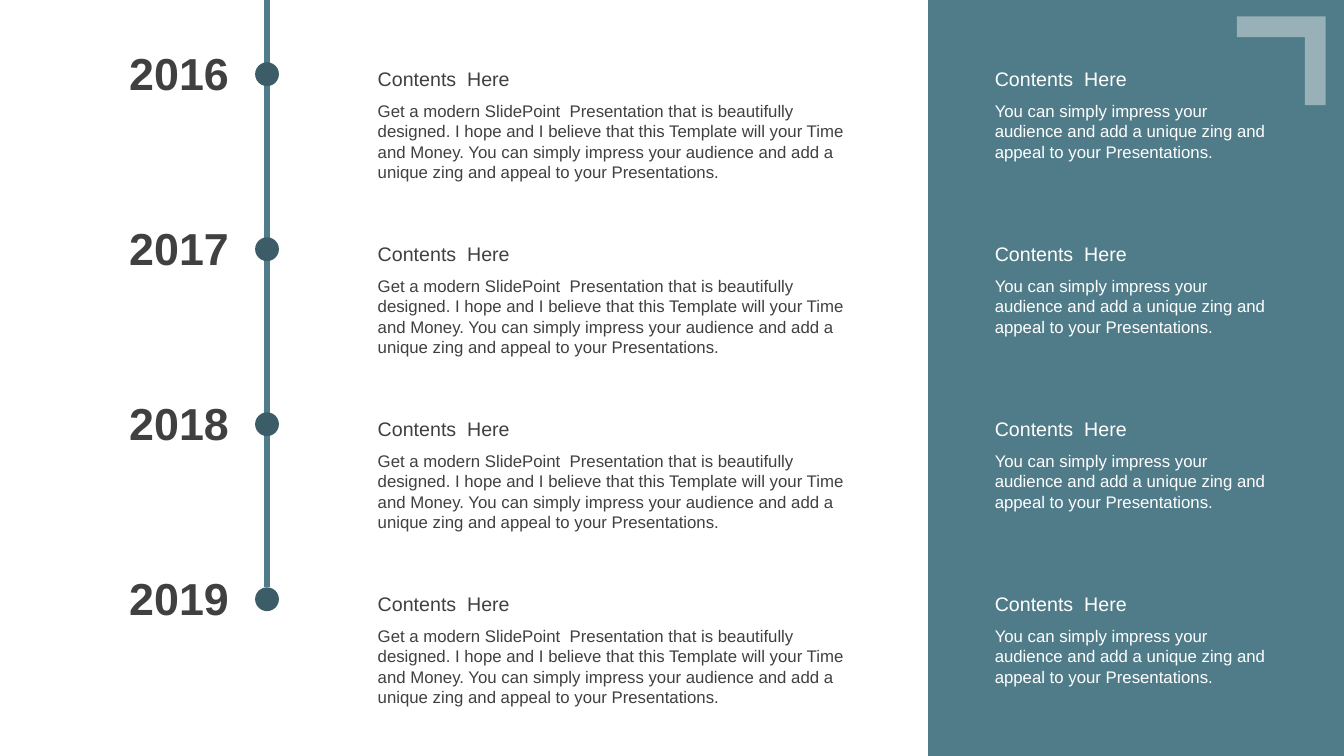
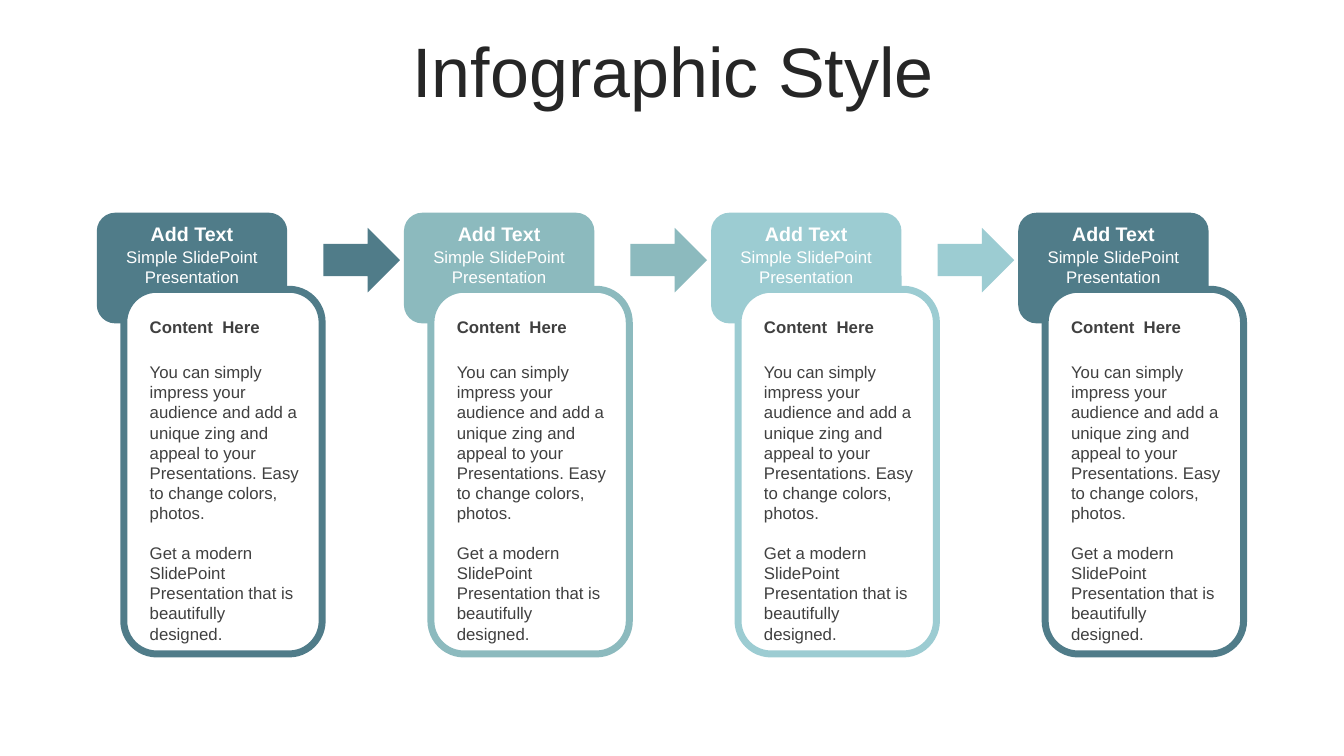
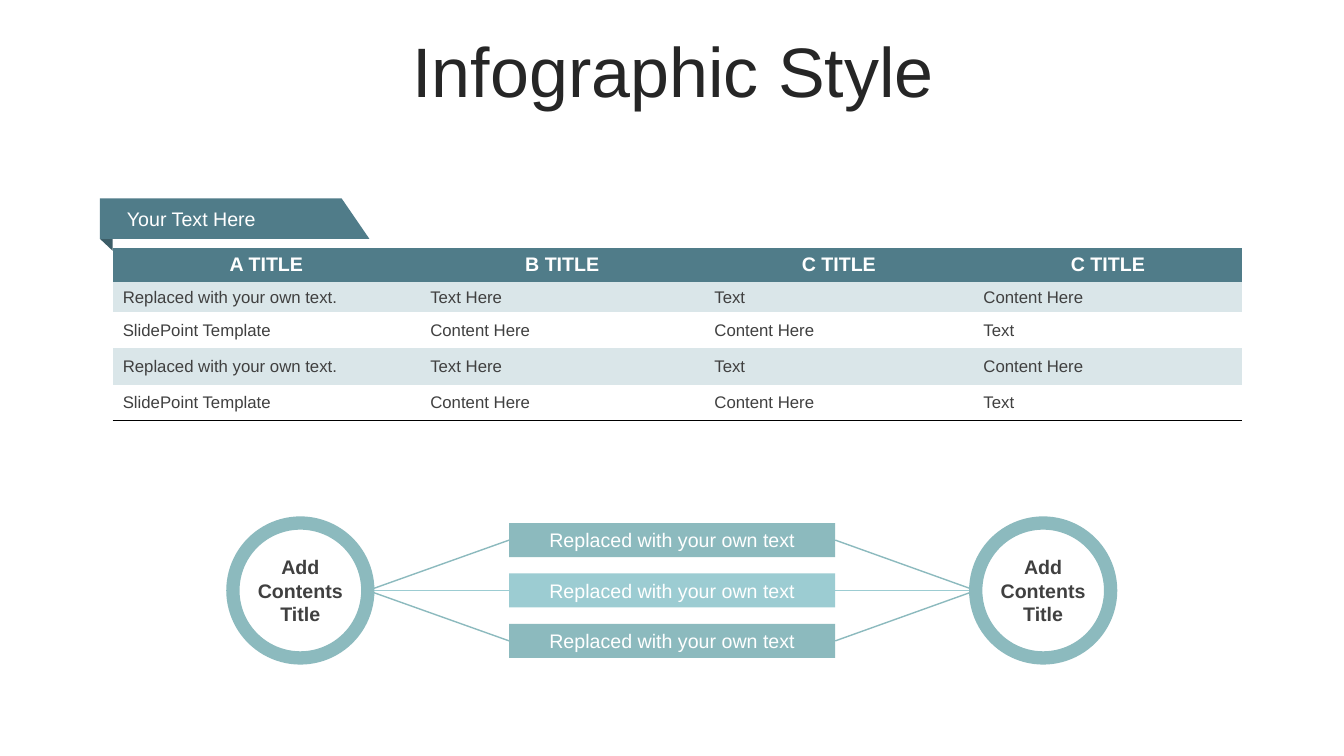
from lxml import etree
from pptx import Presentation
from pptx.dml.color import RGBColor
from pptx.enum.shapes import MSO_CONNECTOR, MSO_SHAPE
from pptx.enum.text import MSO_ANCHOR, MSO_AUTO_SIZE, PP_ALIGN
from pptx.oxml import parse_xml
from pptx.oxml.ns import nsdecls, qn
from pptx.util import Cm, Pt

LEFT, CENTER, RIGHT = PP_ALIGN.LEFT, PP_ALIGN.CENTER, PP_ALIGN.RIGHT
TOP, MIDDLE = MSO_ANCHOR.TOP, MSO_ANCHOR.MIDDLE
RECT, OVAL = MSO_SHAPE.RECTANGLE, MSO_SHAPE.OVAL
ROUNDED, ARROW, CORNER = MSO_SHAPE.ROUNDED_RECTANGLE, MSO_SHAPE.RIGHT_ARROW, MSO_SHAPE.CORNER
STRAIGHT = MSO_CONNECTOR.STRAIGHT

FONT = "Arial"
TEAL, SAGE, AQUA = "507C89", "8CBABE", "9CCCD2"
DARK_TEAL, PALE = "3C5D67", "DAE6E9"
WHITE, BLACK, INK, TITLE_INK = "FFFFFF", "000000", "404040", "262626"
NO_STYLE_NO_GRID = "{2D5ABB26-0587-4C30-8999-92F81FD0307C}"

rgb = RGBColor.from_string


def paint(sp, fill=None, line=None, width=1):
    """Colour a shape, or a connector when no fill is given, and remove its shadow."""
    if line:
        sp.line.color.rgb = rgb(line)
        sp.line.width = Pt(width)
    else:
        sp.line.fill.background()
    if fill:
        sp.fill.solid()
        sp.fill.fore_color.rgb = rgb(fill)
        sp.shadow.inherit = False
    else:
        etree.SubElement(sp.element.spPr, qn("a:effectLst"))


def write(tf, text, size=12, color=INK, bold=False, align=LEFT, before=0, spacing=None):
    """Put text in the empty first paragraph, or in a new one after it."""
    p = tf.paragraphs[0] if not tf.text else tf.add_paragraph()
    p.alignment = align
    if before:
        p.space_before = Pt(before)
    if spacing:
        p.line_spacing = spacing
    r = p.add_run()
    r.text = text
    r.font.name, r.font.size, r.font.bold = FONT, Pt(size), bold
    r.font.color.rgb = rgb(color)


prs = Presentation()
prs.slide_width, prs.slide_height = Cm(33.87), Cm(19.05)
blank, title_only = prs.slide_layouts[6], prs.slide_layouts[5]

# Shared title position
layout_title = title_only.placeholders[0]
layout_title.left, layout_title.top = Cm(0.89), Cm(0.95)
layout_title.width, layout_title.height = Cm(32.16), Cm(2)

timeline = prs.slides.add_slide(blank)
process = prs.slides.add_slide(title_only)
overview = prs.slides.add_slide(title_only)

for s in (process, overview):
    tf = s.shapes.title.text_frame
    tf.auto_size = MSO_AUTO_SIZE.NONE
    tf.vertical_anchor = MIDDLE
    write(tf, "Infographic Style", size=50, color=TITLE_INK, align=CENTER, spacing=0.8)

# Slide 1: timeline
shapes = timeline.shapes
side_panel = shapes.add_shape(RECT, Cm(23.39), 0, Cm(10.48), prs.slide_height)
paint(side_panel, TEAL)
axis = shapes.add_connector(STRAIGHT, Cm(6.73), 0, Cm(6.73), Cm(14.8))
paint(axis, line=TEAL, width=4.5)

bracket = shapes.add_shape(CORNER, Cm(31.17), Cm(0.41), Cm(2.24), Cm(2.24))
bracket.rotation = 180
bracket.adjustments[0] = bracket.adjustments[1] = 0.234
paint(bracket, WHITE)
bracket_color = bracket.element.spPr.find(".//" + qn("a:srgbClr"))
etree.SubElement(bracket_color, qn("a:alpha"), val="41000")

MAIN_TEXT = (
    "Get a modern SlidePoint  Presentation that is beautifully designed. I hope and I believe "
    "that this Template will your Time and Money. You can simply impress your audience and "
    "add a unique zing and appeal to your Presentations."
)
SIDE_TEXT = (
    "You can simply impress your audience and add a unique zing and appeal to your Presentations."
)
for i, year in enumerate(("2016", "2017", "2018", "2019")):
    y = 1.57 + 4.41 * i
    dot = shapes.add_shape(OVAL, Cm(6.43), Cm(y), Cm(0.6), Cm(0.6))
    paint(dot, DARK_TEAL)
    for x, dy, w, h, text, style in (
        (1.85, -0.55, 4.17, 1.63, year, {"size": 32, "bold": True, "align": RIGHT}),
        (9.27, 0, 12.67, 0.86, "Contents  Here", {"size": 14}),
        (9.27, 0.85, 12.67, 2.31, MAIN_TEXT, {}),
        (24.82, 0, 7.44, 0.86, "Contents  Here", {"size": 14, "color": WHITE}),
        (24.82, 0.85, 7.44, 1.8, SIDE_TEXT, {"color": WHITE}),
    ):
        tf = shapes.add_textbox(Cm(x), Cm(y + dy), Cm(w), Cm(h)).text_frame
        tf.word_wrap = True
        write(tf, text, **style)

# Slide 2: four steps joined by arrows
shapes = process.shapes
step_colors = (TEAL, SAGE, AQUA, TEAL)
for i, color in enumerate(step_colors):
    x = 2.44 + 7.74 * i
    if i < len(step_colors) - 1:
        arrow = shapes.add_shape(ARROW, Cm(x + 5.71), Cm(5.74), Cm(1.93), Cm(1.63))
        paint(arrow, color)

    header = shapes.add_shape(ROUNDED, Cm(x), Cm(5.36), Cm(4.8), Cm(2.79))
    paint(header, color)
    tf = header.text_frame
    tf.vertical_anchor = TOP
    tf.margin_left = tf.margin_right = Cm(0.2)
    tf.margin_top = Cm(0.1)
    write(tf, "Add Text", size=14, color=WHITE, bold=True, align=CENTER)
    write(tf, "Simple SlidePoint Presentation", color=WHITE, align=CENTER, before=1)

    card = shapes.add_shape(ROUNDED, Cm(x + 0.68), Cm(7.29), Cm(5), Cm(9.19))
    paint(card, WHITE, line=color, width=5)
    tf = card.text_frame
    tf.vertical_anchor = TOP
    tf.margin_left, tf.margin_right = Cm(0.41), Cm(0.27)
    tf.margin_top, tf.margin_bottom = Cm(0.44), 0
    write(tf, "Content  Here", bold=True)
    write(
        tf,
        "You can simply impress your audience and add a unique zing and appeal to your "
        "Presentations. Easy to change colors, photos.",
        before=18,
    )
    write(tf, "Get a modern SlidePoint  Presentation that is beautifully designed.", before=14)

# Slide 3: table
shapes = overview.shapes
text_row = ("Replaced with your own text.", "Text Here", "Text", "Content Here")
template_row = ("SlidePoint Template", "Content Here", "Content Here", "Text")
rows = (
    ("A TITLE", "B TITLE", "C TITLE", "C TITLE"),
    text_row, template_row, text_row, template_row,
)
col_widths = (7.75, 7.16, 6.78, 6.78)
row_heights = (0.86, 0.76, 0.91, 0.91, 0.91)
frame = shapes.add_table(
    len(rows), len(col_widths), Cm(2.84), Cm(6.25), Cm(sum(col_widths)), Cm(sum(row_heights))
)
frame.element.find(".//" + qn("a:tableStyleId")).text = NO_STYLE_NO_GRID
table = frame.table
table.horz_banding = False
for column, width in zip(table.columns, col_widths):
    column.width = Cm(width)
for i, texts in enumerate(rows):
    table.rows[i].height = Cm(row_heights[i])
    for j, text in enumerate(texts):
        cell = table.cell(i, j)
        cell.vertical_anchor = MIDDLE
        if i == 0:
            write(cell.text_frame, text, size=14, color=WHITE, bold=True, align=CENTER)
        else:
            write(cell.text_frame, text)
        if i in (2, 4):
            cell.fill.background()
        else:
            cell.fill.solid()
            cell.fill.fore_color.rgb = rgb(PALE if i else TEAL)
        if i == len(rows) - 1:
            border = parse_xml(
                f'<a:lnB {nsdecls("a")} w="{Pt(1)}"><a:solidFill>'
                f'<a:srgbClr val="{BLACK}"/></a:solidFill></a:lnB>'
            )
            cell._tc.get_or_add_tcPr().insert(0, border)

# Slide 3: folded ribbon above the table
for color, points in (
    (DARK_TEAL, ((2.52, 6.02), (2.84, 6.02), (2.84, 6.32))),
    (TEAL, ((2.52, 5), (8.61, 5), (9.31, 6.02), (2.52, 6.02))),
):
    outline = [(Cm(x), Cm(y)) for x, y in points]
    builder = shapes.build_freeform(*outline[0])
    builder.add_line_segments(outline[1:])
    ribbon = builder.convert_to_shape()
    paint(ribbon, color)
tf = ribbon.text_frame
tf.vertical_anchor = MIDDLE
tf.margin_left = Cm(0.68)
write(tf, "Your Text Here", size=14, color=WHITE)

# Slide 3: two circles linked through three bars
bar_left, bar_width, bar_height = 12.83, 8.22, 0.86
circle_top, diameter = 13.18, 3.4
circle_lefts = (5.87, 24.59)
middle_y = circle_top + diameter / 2
bars = [(middle_y + 1.27 * (i - 1), color) for i, color in enumerate((SAGE, AQUA, SAGE))]

for bar_x, circle_x in (
    (bar_left, circle_lefts[0] + diameter),
    (bar_left + bar_width, circle_lefts[1]),
):
    for y, color in bars:
        link = shapes.add_connector(STRAIGHT, Cm(bar_x), Cm(y), Cm(circle_x), Cm(middle_y))
        paint(link, line=color)

for x in circle_lefts:
    circle = shapes.add_shape(OVAL, Cm(x), Cm(circle_top), Cm(diameter), Cm(diameter))
    paint(circle, WHITE, line=SAGE, width=9.5)
    tf = circle.text_frame
    tf.margin_left = tf.margin_right = tf.margin_top = tf.margin_bottom = 0
    write(tf, "Add Contents Title", size=14, bold=True, align=CENTER)

for y, color in bars:
    bar = shapes.add_shape(
        RECT, Cm(bar_left), Cm(y - bar_height / 2), Cm(bar_width), Cm(bar_height)
    )
    paint(bar, color)
    write(bar.text_frame, "Replaced with your own text", size=14, color=WHITE, align=CENTER)

prs.save("out.pptx")
